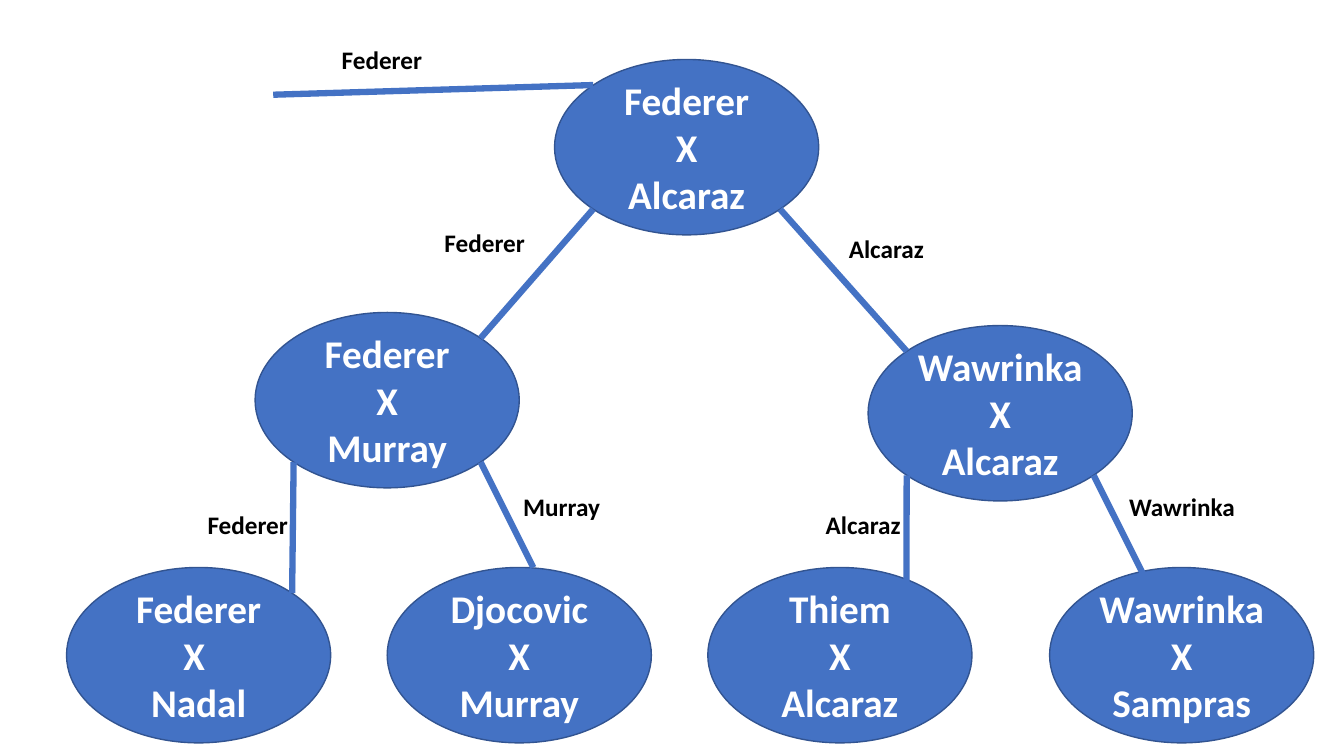
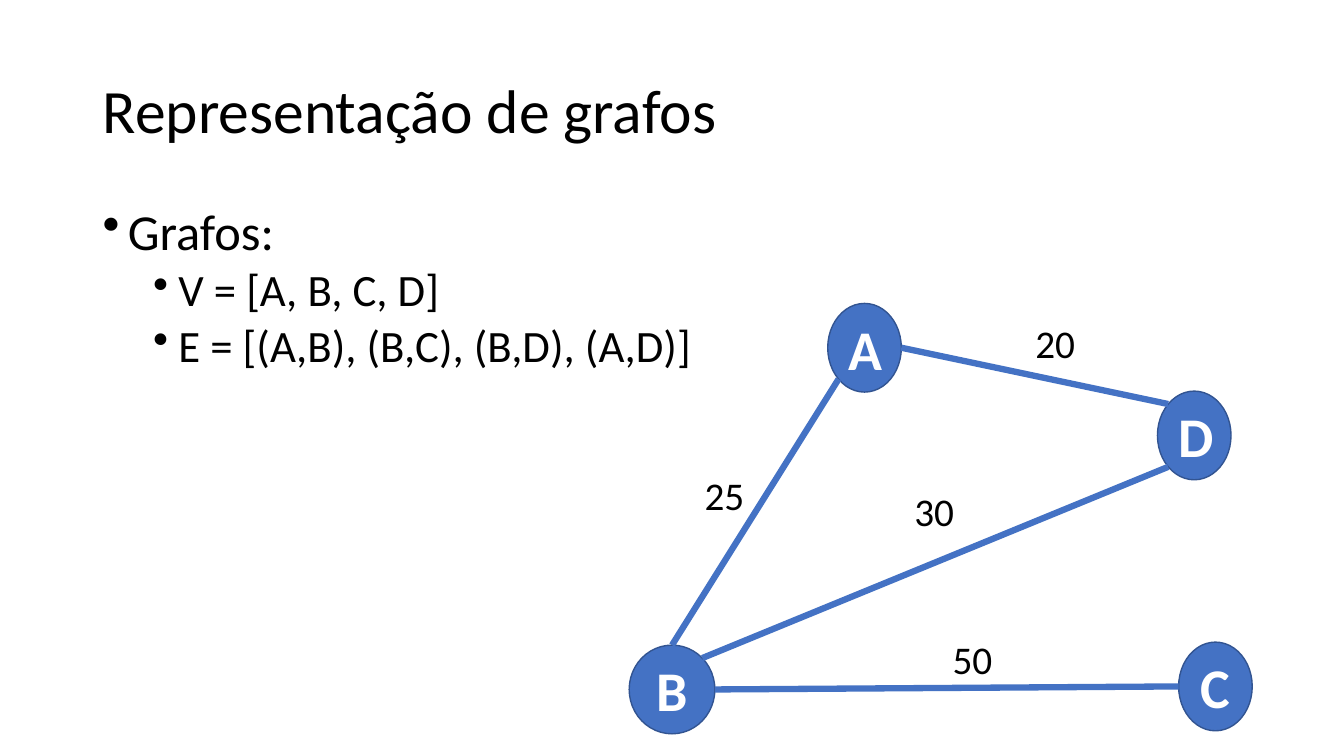
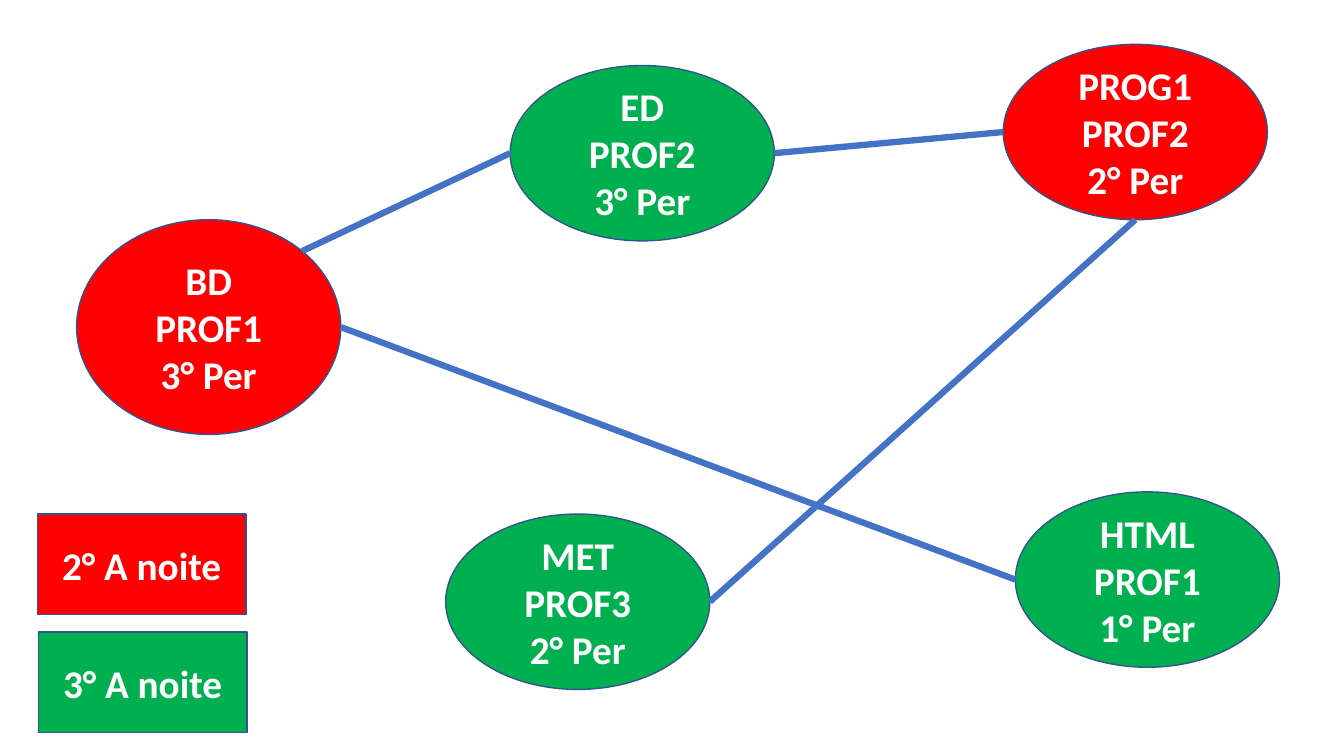
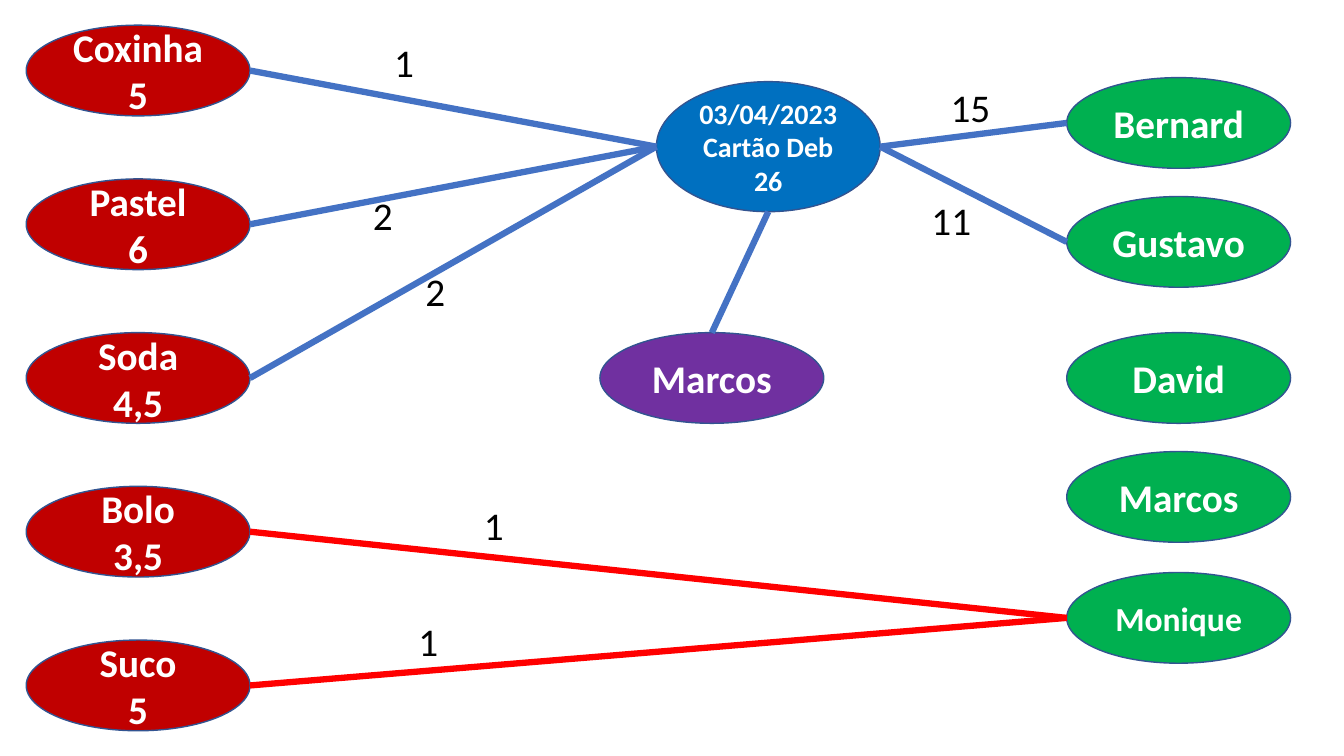
"""Builds four slides of trees and graphs: tournament, weighted graph, timetable and sales."""
import lxml.etree
import pptx
import pptx.dml.color
import pptx.enum.shapes
import pptx.enum.text
import pptx.oxml.ns
import pptx.util

Inches, Pt = pptx.util.Inches, pptx.util.Pt
qn = pptx.oxml.ns.qn
KIND = pptx.enum.shapes.MSO_SHAPE
ALIGN = pptx.enum.text.PP_ALIGN
MIDDLE = pptx.enum.text.MSO_ANCHOR.MIDDLE

FONT = "Calibri"
BLUE, EDGE, WHITE, BLACK = "4472C4", "325491", "FFFFFF", "000000"
RED, GREEN, WINE, AZURE, PURPLE = "FF0000", "00B050", "C00000", "0070C0", "7030A0"

NEAR, FAR = 0.146, 0.854
SITES = {
    "t": (0.5, 0), "b": (0.5, 1), "l": (0, 0.5), "r": (1, 0.5),
    "tl": (NEAR, NEAR), "tr": (FAR, NEAR), "bl": (NEAR, FAR), "br": (FAR, FAR),
}


def paint(target, code):
    """Gives a fill, line or font a solid colour."""
    if hasattr(target, "solid"):
        target.solid()
        target.fore_color.rgb = pptx.dml.color.RGBColor.from_string(code)
    else:
        target.color.rgb = pptx.dml.color.RGBColor.from_string(code)


def write(frame, text, size, code, bold=False, align=ALIGN.LEFT):
    """Writes one paragraph for each line of text."""
    frame.word_wrap = True
    for i, line in enumerate(text.split("\n")):
        para = frame.paragraphs[0] if i == 0 else frame.add_paragraph()
        para.text = line
        para.alignment = align
        para.font.name, para.font.size, para.font.bold = FONT, Pt(size), bold
        paint(para.font, code)


W, H = 2.62, 1.74
W4, H4 = 2.22, 0.9

goods = ["Coxinha\n5", "Pastel\n6", "Soda\n4,5", "Bolo\n3,5", "Suco\n5"]
people = [("Bernard", 0.77, 28), ("Gustavo", 1.95, 28), ("David", 3.3, 28),
          ("Marcos", 4.48, 28), ("Monique", 5.68, 24)]
sales = {f"item{i}": (text, 0.26, 0.25 + 1.525 * i, W4, H4, WINE, 28)
         for i, text in enumerate(goods)}
sales.update({name: (name, 10.58, top, W4, H4, GREEN, size)
              for name, top, size in people})
sales["bill"] = ("03/04/2023\nCartão Deb\n26", 6.51, 0.81, W4, 1.29, AZURE, 20)
sales["clerk"] = ("Marcos", 5.95, 3.3, W4, H4, PURPLE, 28)

# nodes: text, left, top, width, height, fill, size
pages = [
    {
        "nodes": {
            "final": ("Federer\nX\nAlcaraz", 5.5, 0.59, W, H, BLUE, 28),
            "semi1": ("Federer\nX\nMurray", 2.53, 3.1, W, H, BLUE, 28),
            "semi2": ("Wawrinka\nX\nAlcaraz", 8.61, 3.23, W, H, BLUE, 28),
            "game1": ("Federer\nX \nNadal", 0.66, 5.63, W, H, BLUE, 28),
            "game2": ("Djocovic\nX\nMurray", 3.84, 5.63, W, H, BLUE, 28),
            "game3": ("Thiem\nX\nAlcaraz", 7.02, 5.63, W, H, BLUE, 28),
            "game4": ("Wawrinka\nX\nSampras", 10.41, 5.63, W, H, BLUE, 28),
        },
        "links": [
            (("final", "tl"), (2.71, 0.94), BLUE),
            (("final", "bl"), ("semi1", "tr"), BLUE),
            (("final", "br"), ("semi2", "tl"), BLUE),
            (("semi1", "bl"), ("game1", "tr"), BLUE),
            (("semi1", "br"), (5.29, 5.63), BLUE),
            (("semi2", "bl"), (8.99, 6.02), BLUE),
            (("semi2", "br"), (11.37, 5.76), BLUE),
        ],
        "label": (18, 0.4, True),
        "notes": [
            ("Federer", 3.29, 0.39, 1.02), ("Federer", 4.31, 2.21, 1.02),
            ("Alcaraz", 8.32, 2.27, 1.14), ("Federer", 1.96, 5, 1.02),
            ("Murray", 5.09, 4.83, 1.15), ("Alcaraz", 8.09, 5, 1.14),
            ("Wawrinka", 11.1, 4.83, 1.43),
        ],
    },
    {
        "title": "Representação de grafos",
        "body": [("Grafos:", 0, 36, 10), ("V = [A, B, C, D]", 1, 32, 5),
                 ("E = [(A,B), (B,C), (B,D), (A,D)]", 1, 32, 5)],
        "nodes": {
            "A": ("A", 8.21, 3.01, 0.73, 0.88, BLUE, 40),
            "B": ("B", 6.24, 6.4, 0.85, 0.88, BLUE, 40),
            "C": ("C", 11.69, 6.37, 0.73, 0.88, BLUE, 40),
            "D": ("D", 11.48, 3.88, 0.73, 0.88, BLUE, 40),
        },
        "links": [
            (("B", "t"), ("A", "bl"), BLUE), (("B", "r"), ("C", "l"), BLUE),
            (("B", "tr"), ("D", "bl"), BLUE), (("A", "r"), ("D", "tl"), BLUE),
        ],
        "label": (28, 0.57, False),
        "notes": [("20", 10.17, 3.12, 0.62), ("30", 8.97, 4.79, 0.62),
                  ("50", 9.35, 6.25, 0.62), ("25", 6.89, 4.63, 0.62)],
    },
    {
        "nodes": {
            "bd": ("BD\nPROF1\n3° Per", 0.76, 2.18, W, 2.13, RED, 28),
            "ed": ("ED\nPROF2\n3° Per", 5.06, 0.65, W, H, GREEN, 28),
            "prog": ("PROG1\nPROF2\n2° Per", 9.95, 0.44, W, H, RED, 28),
            "met": ("MET\nPROF3\n2° Per", 4.42, 5.1, W, H, GREEN, 28),
            "html": ("HTML\nPROF1\n1° Per", 10.07, 4.88, W, H, GREEN, 28),
            "key1": ("2° A noite", 0.37, 5.1, 2.07, 1, RED, 28),
            "key2": ("3° A noite", 0.38, 6.27, 2.07, 1, GREEN, 28),
        },
        "links": [
            (("prog", "l"), ("ed", "r"), BLUE), (("met", "r"), ("prog", "b"), BLUE),
            (("html", "l"), ("bd", "r"), BLUE), (("ed", "l"), ("bd", "tr"), BLUE),
        ],
    },
    {
        "nodes": sales,
        "links": [
            *[(("bill", "l"), (f"item{i}", "r"), BLUE) for i in range(3)],
            *[(("Monique", "l"), (f"item{i}", "r"), RED) for i in (3, 4)],
            *[((name, "l"), ("bill", "r"), BLUE) for name in ("Bernard", "Gustavo")],
            (("bill", "b"), ("clerk", "t"), BLUE),
        ],
        "label": (28, 0.57, False),
        "notes": [
            ("1", 3.81, 0.33, 1.02), ("2", 3.6, 1.85, 1.02), ("2", 4.12, 2.6, 1.02),
            ("1", 4.7, 4.92, 1.02), ("1", 4.05, 6.08, 1.02),
            ("15", 9.33, 0.78, 1.02), ("11", 9.14, 1.9, 1.02),
        ],
    },
]

deck = pptx.Presentation()
deck.slide_width, deck.slide_height = Inches(13.33), Inches(7.5)

for page in pages:
    slide = deck.slides.add_slide(deck.slide_layouts[6])
    shapes, nodes = slide.shapes, page["nodes"]

    if "title" in page:
        frame = shapes.add_textbox(
            Inches(0.92), Inches(0.4), Inches(11.5), Inches(1.45)).text_frame
        frame.vertical_anchor = MIDDLE
        write(frame, page["title"], 44, BLACK)
        frame.paragraphs[0].line_spacing = 0.9

        frame = shapes.add_textbox(
            Inches(0.92), Inches(2), Inches(12.14), Inches(5.1)).text_frame
        write(frame, "\n".join(row[0] for row in page["body"]), 32, BLACK)
        for para, (text, level, size, gap) in zip(frame.paragraphs, page["body"]):
            para.level, para.line_spacing = level, 0.9
            para.space_before, para.font.size = Pt(gap), Pt(size)
            props = para._p.get_or_add_pPr()
            props.set("marL", str(Inches(0.25 + 0.5 * level)))
            props.set("indent", str(Inches(-0.25)))
            bullet = lxml.etree.Element(qn("a:buChar"), char="•")
            props.find(qn("a:defRPr")).addprevious(bullet)

    for key, (text, left, top, width, height, fill, size) in nodes.items():
        kind = KIND.RECTANGLE if key.startswith("key") else KIND.OVAL
        node = shapes.add_shape(
            kind, Inches(left), Inches(top), Inches(width), Inches(height))
        node.shadow.inherit = False
        paint(node.fill, fill)
        paint(node.line, EDGE)
        node.line.width = Pt(1)
        node.text_frame.vertical_anchor = MIDDLE
        write(node.text_frame, text, size, WHITE, True, ALIGN.CENTER)

    for start, end, code in page["links"]:
        ends = []
        for first, second in (start, end):
            if first in nodes:
                text, left, top, width, height, fill, size = nodes[first]
                across, down = SITES[second]
                first, second = left + across * width, top + down * height
            ends += [Inches(first), Inches(second)]
        link = shapes.add_connector(pptx.enum.shapes.MSO_CONNECTOR.STRAIGHT, *ends)
        paint(link.line, code)
        link.line.width = Pt(4.5)
        lxml.etree.SubElement(link._element.spPr, qn("a:effectLst"))

    for text, left, top, width in page.get("notes", []):
        size, height, bold = page["label"]
        label = shapes.add_textbox(
            Inches(left), Inches(top), Inches(width), Inches(height))
        write(label.text_frame, text, size, BLACK, bold)

deck.save("out.pptx")
